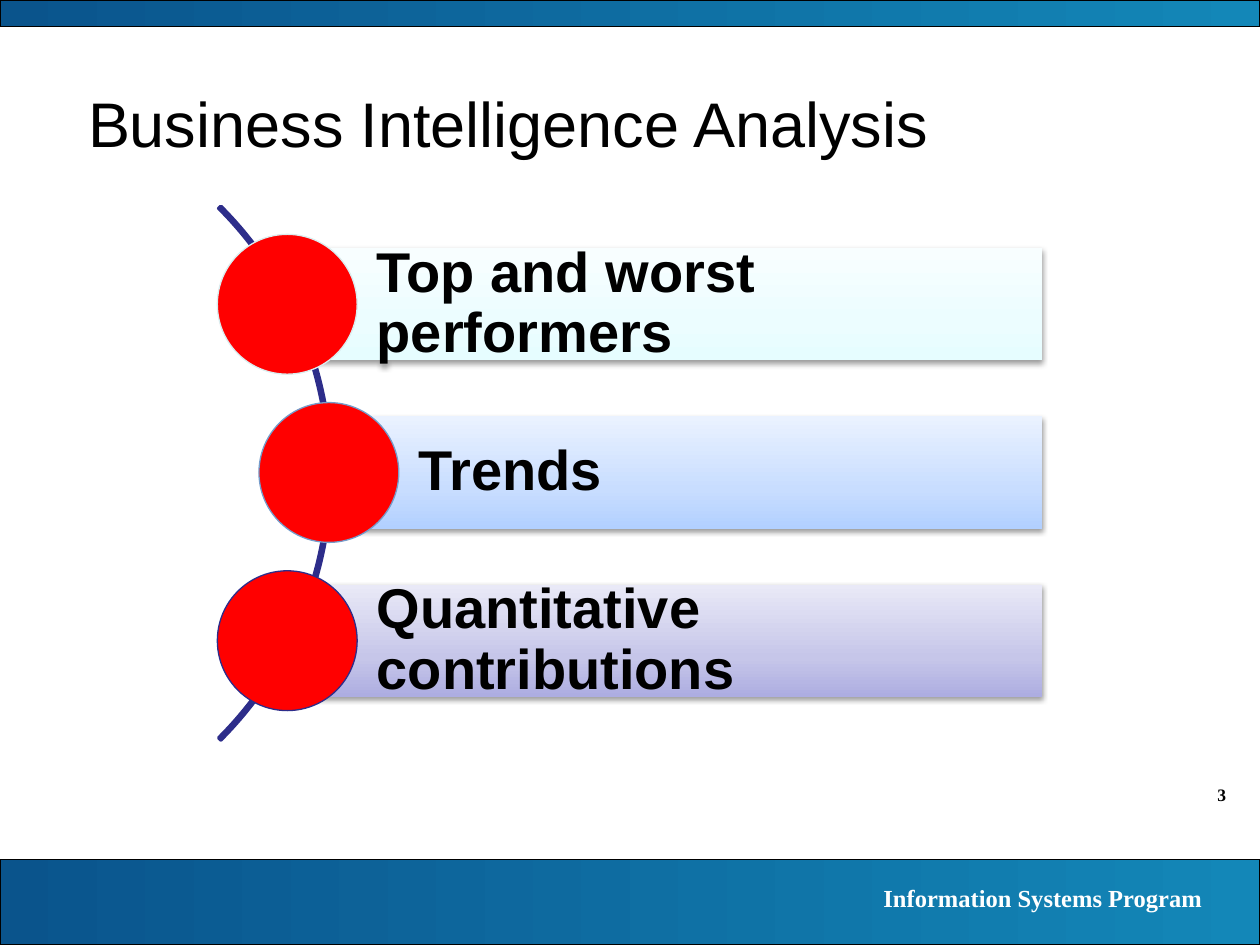
"""Build the Business Intelligence Analysis slide."""
from copy import deepcopy
from lxml import etree
from pptx import Presentation
from pptx.dml.color import RGBColor
from pptx.enum import shapes, text
from pptx.oxml import ns
from pptx.util import Inches, Pt

HUES = {
    "black": "000000", "white": "FFFFFF", "red": "FF0000", "navy": "2D2D8A",
    "deep": "0A548C", "sky": "1387B8",
    "mint": ["E6FDFF", "ECFDFF", "F8FEFF"],
    "blue": ["B2D0FF", "C8DDFF", "EAF2FF"],
    "lilac": ["ADADE1", "C6C6E9", "E9E9F7"],
    "pale": "DAEDEF", "steel": "759CCB",
}
SHADE = (
    f'<a:outerShdw xmlns:a="{ns.nsuri("a")}" blurRad="{Pt(3.1)}" dist="{Pt(1.6)}" '
    'dir="5400000" rotWithShape="0"><a:srgbClr val="000000">'
    '<a:alpha val="38000"/></a:srgbClr></a:outerShdw>'
)

deck = Presentation()
deck.slide_width, deck.slide_height = Inches(10), Inches(7.5)
slide = deck.slides.add_slide(deck.slide_layouts[6])


def draw(kind, box, fill, line=None, width=0.75, angle=0):
    """Add a shape with a solid or gradient fill."""
    shape = slide.shapes.add_shape(kind, *map(Inches, box))
    shape.shadow.inherit = False
    if isinstance(fill, list):
        shape.fill.gradient()
        shape.fill.gradient_angle = angle
        if len(fill) == 3:
            first = shape.fill._fill._gradFill.gsLst[0]
            first.addnext(deepcopy(first))
        spots = [0, 0.35, 1] if len(fill) == 3 else [0, 1]
        for stop, hue, spot in zip(shape.fill.gradient_stops, fill, spots):
            stop.color.rgb = RGBColor.from_string(hue)
            stop.position = spot
    else:
        shape.fill.solid()
        shape.fill.fore_color.rgb = RGBColor.from_string(fill)
    if line:
        shape.line.color.rgb = RGBColor.from_string(line)
        shape.line.width = Pt(width)
    else:
        shape.line.fill.background()
    return shape


def write(shape, words, size, face, hue, bold, align, anchor):
    """Set one styled paragraph in a shape."""
    frame = shape.text_frame
    frame.word_wrap = True
    frame.vertical_anchor = anchor
    para = frame.paragraphs[0]
    para.text = words
    para.alignment = align
    para.font.size, para.font.name, para.font.bold = Pt(size), face, bold
    para.font.color.rgb = RGBColor.from_string(HUES[hue])
    return frame


kinds = shapes.MSO_SHAPE
left, right = text.PP_ALIGN.LEFT, text.PP_ALIGN.RIGHT
top, mid, low = text.MSO_ANCHOR.TOP, text.MSO_ANCHOR.MIDDLE, text.MSO_ANCHOR.BOTTOM

for y, high in [(6.82, 0.68), (0, 0.21)]:
    draw(kinds.RECTANGLE, (0, y, 10, high), [HUES["deep"], HUES["sky"]], HUES["black"])

roman = "Times New Roman"
for box, *style in [
    ((9, 6.17, 0.83, 0.27), "3", 10, roman, "black", True, right, top),
    ((5.55, 6.96, 4.09, 0.34), "Information Systems Program", 14, roman, "white", True, right, top),
    ((0.6, 0.45, 9.11, 0.87), "Business Intelligence Analysis", 36, "Arial", "black", False, left, low),
]:
    write(slide.shapes.add_textbox(*map(Inches, box)), *style)

arc = draw(kinds.BLOCK_ARC, (-3.36, 0.76, 5.99, 5.99), HUES["navy"], HUES["navy"], 2)
for i, value in enumerate([189, 27, 0.004]):
    arc.adjustments[i] = value

edge, tall, disc = 8.27, 0.89, 1.11
for i, (words, x, fill, rim) in enumerate([
    ("Top and worst performers", 2.28, "mint", "pale"),
    ("Trends", 2.61, "blue", "steel"),
    ("Quantitative contributions", 2.28, "lilac", "navy"),
]):
    y = 1.97 + i * 1.335
    bar = draw(kinds.RECTANGLE, (x, y, edge - x, tall), HUES[fill], angle=90)
    bar._element.spPr.find(ns.qn("a:effectLst")).append(etree.fromstring(SHADE))
    frame = write(bar, words, 32, "Arial", "black", True, left, mid)
    frame.margin_left = Inches(0.71)
    frame.margin_top = frame.margin_right = frame.margin_bottom = Inches(0.09)
    frame.paragraphs[0].line_spacing = 0.9
    draw(kinds.OVAL, (x - disc / 2, y + (tall - disc) / 2, disc, disc), HUES["red"], HUES[rim])

deck.save("out.pptx")
